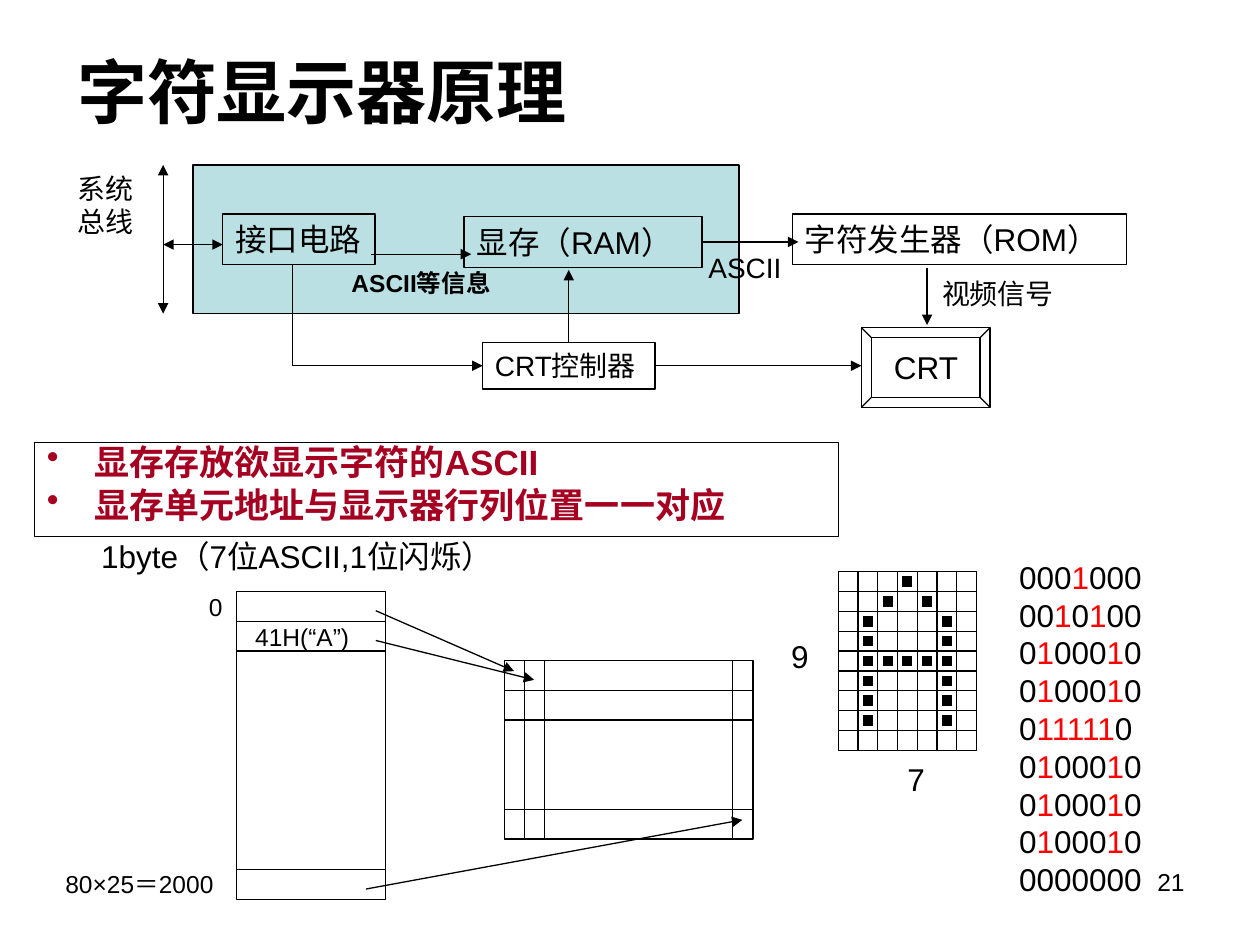
import itertools

import pptx
import pptx.dml.color
import pptx.enum.shapes
import pptx.enum.text
import pptx.oxml
import pptx.oxml.ns
import pptx.util

Pt = pptx.util.Pt
SHAPES = pptx.enum.shapes.MSO_SHAPE
COLORS = {"ink": "000000", "paper": "FFFFFF", "panel": "BBE0E3",
          "accent": "A50021", "lit": "FF0000"}
GLYPH_ROWS = ["0001000", "0010100", "0100010", "0100010", "0111110",
              "0100010", "0100010", "0100010", "0000000"]


def color(name):
    return pptx.dml.color.RGBColor.from_string(COLORS[name])


def append_element(parent, tag, **attributes):
    element = pptx.oxml.parse_xml(f"<a:{tag} {pptx.oxml.ns.nsdecls('a')}/>")
    for name, value in attributes.items():
        element.set(name, value)
    parent.append(element)
    return element


def style_font(font, size, bold=False, ink="ink"):
    font.name = "Arial"
    font.size = Pt(size)
    font.bold = bold
    font.color.rgb = color(ink)


def write(shape, text, size, bold=False, wrap=False):
    frame = shape.text_frame
    frame.text = text
    frame.word_wrap = wrap
    frame.vertical_anchor = pptx.enum.text.MSO_ANCHOR.TOP
    if not wrap:
        frame.auto_size = pptx.enum.text.MSO_AUTO_SIZE.SHAPE_TO_FIT_TEXT
    for paragraph in frame.paragraphs:
        paragraph.alignment = pptx.enum.text.PP_ALIGN.LEFT
        for run in paragraph.runs:
            style_font(run.font, size, bold)


def add_label(slide, left, top, width, height, text, size, bold=False, wrap=False):
    shape = slide.shapes.add_textbox(Pt(left), Pt(top), Pt(width), Pt(height))
    write(shape, text, size, bold, wrap)
    return shape


def add_box(slide, left, top, width, height, text="", size=18, fill=None,
            preset=SHAPES.RECTANGLE):
    shape = slide.shapes.add_shape(preset, Pt(left), Pt(top), Pt(width), Pt(height))
    shape.shadow.inherit = False
    if fill:
        shape.fill.solid()
        shape.fill.fore_color.rgb = color(fill)
    else:
        shape.fill.background()
    shape.line.color.rgb = color("ink")
    shape.line.width = Pt(0.75)
    if text:
        write(shape, text, size)
    return shape


def add_line(slide, x1, y1, x2, y2, head=False, tail=False, weight=0.75):
    line = slide.shapes.add_connector(
        pptx.enum.shapes.MSO_CONNECTOR.STRAIGHT, Pt(x1), Pt(y1), Pt(x2), Pt(y2))
    line.line.color.rgb = color("ink")
    line.line.width = Pt(weight)
    outline = line.line._get_or_add_ln()
    if head:
        append_element(outline, "headEnd", type="triangle")
    if tail:
        append_element(outline, "tailEnd", type="triangle")
    append_element(line._element.spPr, "effectLst")
    return line


def add_ruled_box(slide, left, top, width, height, rows, columns=()):
    add_box(slide, left, top, width, height)
    for y in rows:
        add_line(slide, left, top + y, left + width, top + y)
    for x in columns:
        add_line(slide, left + x, top, left + x, top + height)


def add_title(slide, left, top, width, height):
    title = add_label(slide, left, top, width, height, "字符显示器原理", 40, True, True)
    title.text_frame.vertical_anchor = pptx.enum.text.MSO_ANCHOR.MIDDLE


def add_block_diagram(slide, left, top):
    add_box(slide, left + 73, top, 312, 85, fill="panel")
    add_box(slide, left + 90, top + 28, 87, 29, "接口电路")
    memory = add_box(slide, left + 228, top + 29.5, 136, 29, "显存（RAM）")
    add_box(slide, left + 415.5, top + 28, 191, 29, "字符发生器（ROM）")
    add_box(slide, left + 455, top + 93, 73.5, 45.5, preset=SHAPES.BEVEL)
    controller = add_box(slide, left + 238.5, top + 101.5, 98.5, 26.5, "CRT控制器", 16)

    add_label(slide, left, top, 50, 46, "系统\n总线", 16)
    add_label(slide, left + 466.5, top + 101, 52, 29, "CRT", 18)
    add_label(slide, left + 156.5, top + 55.5, 106, 24.5, "ASCII等信息", 14, True)
    add_label(slide, left + 494, top + 60, 80, 26.5, "视频信号", 16)
    add_label(slide, left + 360.5, top + 45.5, 60, 26.5, "ASCII", 16)

    add_line(slide, left + 56, top, left + 56, top + 85, True, True)
    add_line(slide, left + 56, top + 45.5, left + 90, top + 45.5, True, True)
    add_line(slide, left + 175, top + 51, left + 232, top + 51, tail=True)
    add_line(slide, left + 492.5, top + 59, left + 492.5, top + 91.5, tail=True)
    add_line(slide, left + 130, top + 57, left + 130, top + 114.75)
    to_generator = add_line(slide, left + 364, top + 44, left + 419, top + 44, tail=True)
    to_generator.begin_connect(memory, 3)
    to_memory = add_line(slide, left + 287.75, top + 101.5, left + 287.75, top + 60,
                         tail=True)
    to_memory.begin_connect(controller, 0)
    to_display = add_line(slide, left + 337, top + 114.75, left + 455, top + 114.75,
                          tail=True)
    to_display.begin_connect(controller, 3)
    to_controller = add_line(slide, left + 130, top + 114.75, left + 238.5, top + 114.75,
                             tail=True)
    to_controller.end_connect(controller, 1)


def add_key_points(slide, left, top, width, height):
    box = add_box(slide, left, top, width, height, fill="paper")
    write(box, "显存存放欲显示字符的ASCII\n显存单元地址与显示器行列位置一一对应", 20, True, True)
    for index, paragraph in enumerate(box.text_frame.paragraphs):
        paragraph.line_spacing = 0.8
        paragraph.space_before = Pt(5 if index else 0)
        properties = paragraph._p.get_or_add_pPr()
        properties.set("marL", str(Pt(27)))
        properties.set("indent", str(-Pt(27)))
        bullet_color = append_element(properties, "buClr")
        append_element(bullet_color, "srgbClr", val=COLORS["accent"])
        append_element(properties, "buChar", char="•")
        for run in paragraph.runs:
            style_font(run.font, 20, True, "accent")


def add_memory_map(slide, left, top):
    add_label(slide, left + 20.5, top, 262, 29, "1byte（7位ASCII,1位闪烁）", 18)
    add_label(slide, left + 82, top + 31.5, 24, 24.5, "0", 14)
    add_label(slide, left + 108.5, top + 48.5, 72, 24.5, "41H(“A”)", 14)
    add_label(slide, left, top + 189.5, 108, 24.5, "80×25＝2000", 14)
    add_ruled_box(slide, left + 105, top + 34.5, 85, 176, [17, 34, 159])
    add_ruled_box(slide, left + 258, top + 74, 142, 102, [17, 34, 85], [11.5, 23, 130.5])
    for x1, y1, x2, y2 in [(184.5, 45.5, 263.5, 80), (184.5, 62.5, 275, 85),
                           (179, 204.5, 394, 165)]:
        add_line(slide, left + x1, top + y1, left + x2, top + y2, tail=True)


def add_glyph_matrix(slide, left, top, width, height):
    row_count, column_count = len(GLYPH_ROWS), len(GLYPH_ROWS[0])
    cell_width, cell_height = width / column_count, height / row_count
    add_ruled_box(slide, left, top, width, height,
                  [cell_height * row for row in range(1, row_count)],
                  [cell_width * column for column in range(1, column_count)])
    for row, bits in enumerate(GLYPH_ROWS):
        for column, bit in enumerate(bits):
            if bit == "1":
                x = left + (column + 0.5) * cell_width
                y = top + (row + 0.5) * cell_height
                add_line(slide, x - 2.8, y, x + 2.8, y, weight=6)
    add_label(slide, left - 34, top + 34, 25, 29, str(row_count), 18)
    add_label(slide, left + 32.5, top + 104, 25, 29, str(column_count), 18)


def add_glyph_bits(slide, left, top, width, height):
    label = add_label(slide, left, top, width, height, "", 18)
    frame = label.text_frame
    for index, bits in enumerate(GLYPH_ROWS):
        paragraph = frame.add_paragraph() if index else frame.paragraphs[0]
        paragraph.alignment = pptx.enum.text.PP_ALIGN.LEFT
        for bit, group in itertools.groupby(bits):
            run = paragraph.add_run()
            run.text = "".join(group)
            style_font(run.font, 18, ink="lit" if bit == "1" else "ink")


def add_slide_number(slide, left, top, width, height):
    number = add_label(slide, left, top, width, height, "21", 14, wrap=True)
    number.text_frame.paragraphs[0].alignment = pptx.enum.text.PP_ALIGN.RIGHT


def main():
    presentation = pptx.Presentation()
    presentation.slide_width, presentation.slide_height = Pt(720), Pt(540)
    slide = presentation.slides.add_slide(presentation.slide_layouts[6])
    add_title(slide, 37, 15, 648, 73.5)
    add_key_points(slide, 19.75, 253, 459.5, 53.5)
    add_glyph_matrix(slide, 479, 326.75, 79, 102)
    add_glyph_bits(slide, 575.25, 315.25, 90, 201.5)
    add_memory_map(slide, 30.25, 303.5)
    add_block_diagram(slide, 37.25, 94.25)
    add_slide_number(slide, 516, 492, 168, 37.5)
    presentation.save("out.pptx")


if __name__ == "__main__":
    main()
